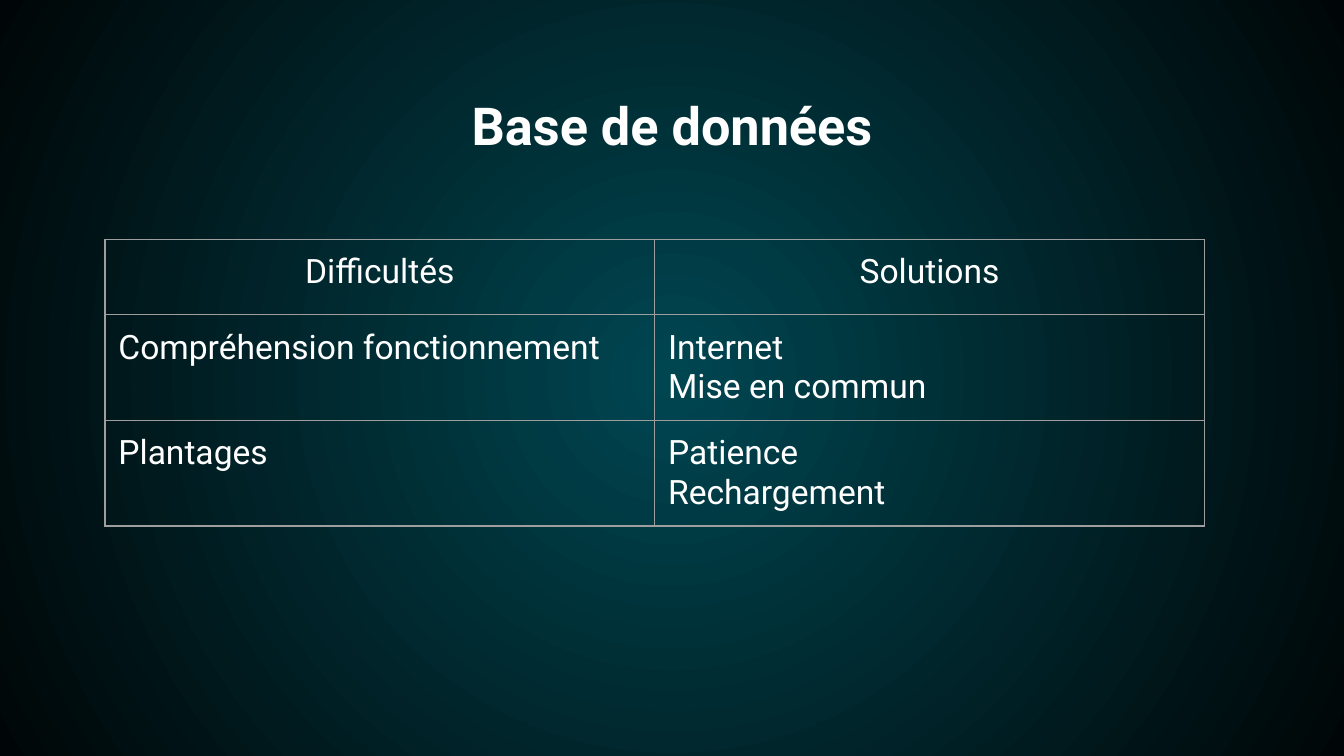
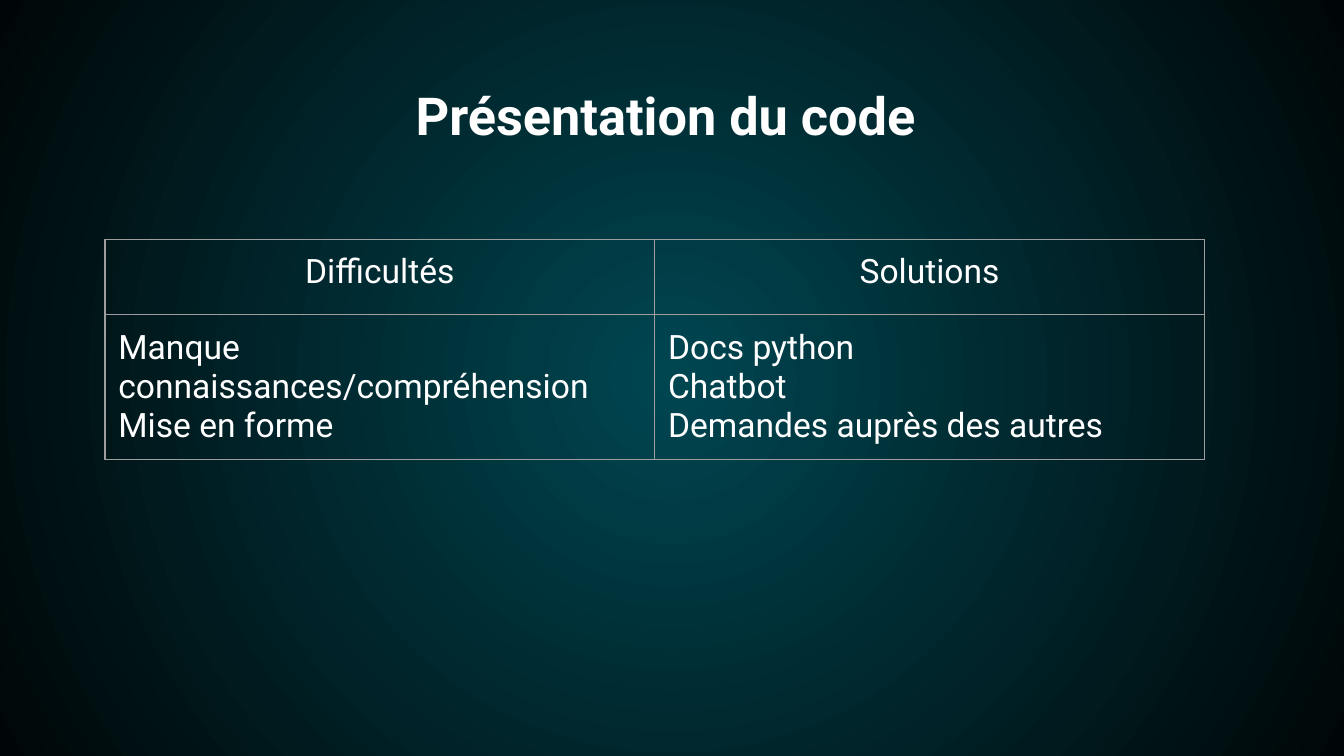
"""Build two slides that list project difficulties and their solutions."""
from lxml import etree
from pptx import Presentation
from pptx.dml.color import RGBColor
from pptx.enum import text
from pptx.oxml import ns
from pptx.util import Pt

TEAL = RGBColor(0x00, 0x46, 0x51)
NIGHT = RGBColor(0x00, 0x06, 0x07)
WHITE = RGBColor(0xFF, 0xFF, 0xFF)
GREY = RGBColor(0x9E, 0x9E, 0x9E)

LEFT = Pt(56.25)
TITLE_WIDTH = Pt(607.5)
TABLE_TOP = Pt(128.25)
COLUMN_WIDTH = Pt(294.5)
ROW_HEIGHT = Pt(40.25)

BODY_FONT = {"name": "Roboto", "size": Pt(18), "bold": False}
TITLE_FONT = {**BODY_FONT, "size": Pt(28), "bold": True}
MARGINS = {f"margin_{side}": Pt(7.2) for side in ("left", "top", "right", "bottom")}
TITLE_FRAME = {
    **MARGINS,
    "word_wrap": True,
    "auto_size": text.MSO_AUTO_SIZE.NONE,
    "vertical_anchor": text.MSO_ANCHOR.TOP,
}
CELL_FORMAT = {**MARGINS, "vertical_anchor": text.MSO_ANCHOR.TOP}
PLAIN_TABLE = {"first_row": False, "horz_banding": False}

HEADINGS = (["Difficultés"], ["Solutions"])


def apply_format(target, values):
    for name, value in values.items():
        setattr(target, name, value)


class Deck:
    """Hold the shared style and the current slide."""

    def __init__(self):
        self.presentation = Presentation()
        apply_format(self.presentation, {"slide_width": Pt(720), "slide_height": Pt(405)})
        self.slide = None

    def add_slide(self):
        layout = self.presentation.slide_layouts[5]
        self.slide = self.presentation.slides.add_slide(layout)
        fill = self.slide.background.fill
        fill.gradient()
        for stop, color, position in zip(fill.gradient_stops, (TEAL, NIGHT), (0, 1)):
            stop.color.rgb = color
            stop.position = position
        gradient = self.slide.element.find(".//" + ns.qn("a:gradFill"))
        gradient.remove(gradient.find(ns.qn("a:lin")))
        circle = etree.SubElement(gradient, ns.qn("a:path"), path="circle")
        center = dict.fromkeys("ltrb", "50000")
        etree.SubElement(circle, ns.qn("a:fillToRect"), center)

    def fill_text(self, frame, lines, font, alignment):
        frame.text = "\n".join(lines)
        for paragraph in frame.paragraphs:
            paragraph.alignment = alignment
            for run in paragraph.runs:
                apply_format(run.font, font)
                run.font.color.rgb = WHITE

    def add_title(self, title, top, height):
        shape = self.slide.shapes.title
        apply_format(shape, {"left": LEFT, "top": top, "width": TITLE_WIDTH, "height": height})
        apply_format(shape.text_frame, TITLE_FRAME)
        self.fill_text(shape.text_frame, [title], TITLE_FONT, text.PP_ALIGN.CENTER)

    def add_borders(self, cell):
        properties = cell._tc.get_or_add_tcPr()
        for side in ("lnL", "lnR", "lnT", "lnB"):
            line = etree.SubElement(properties, ns.qn(f"a:{side}"), w=str(Pt(0.75)))
            fill = etree.SubElement(line, ns.qn("a:solidFill"))
            etree.SubElement(fill, ns.qn("a:srgbClr"), val=str(GREY))

    def add_table(self, body):
        rows = [HEADINGS, *body]
        count = len(HEADINGS)
        table = self.slide.shapes.add_table(
            len(rows), count, LEFT, TABLE_TOP, COLUMN_WIDTH * count, ROW_HEIGHT * len(rows)
        ).table
        apply_format(table, PLAIN_TABLE)
        for column in table.columns:
            column.width = COLUMN_WIDTH
        for index, (row, contents) in enumerate(zip(table.rows, rows)):
            row.height = ROW_HEIGHT
            alignment = text.PP_ALIGN.LEFT if index else text.PP_ALIGN.CENTER
            for cell, lines in zip(row.cells, contents):
                apply_format(cell, CELL_FORMAT)
                self.fill_text(cell.text_frame, lines, BODY_FONT, alignment)
                self.add_borders(cell)
                cell.fill.background()


def main():
    deck = Deck()

    deck.add_slide()
    deck.add_title("Base de données", Pt(42.5), Pt(44.5))
    deck.add_table([
        (["Compréhension fonctionnement"], ["Internet", "Mise en commun"]),
        (["Plantages"], ["Patience", "Rechargement"]),
    ])

    deck.add_slide()
    deck.add_title("Présentation du code ", Pt(37.5), Pt(49))
    deck.add_table([
        (
            ["Manque connaissances/compréhension", "Mise en forme"],
            ["Docs python", "Chatbot", "Demandes auprès des autres"],
        ),
    ])

    deck.presentation.save("out.pptx")


if __name__ == "__main__":
    main()
